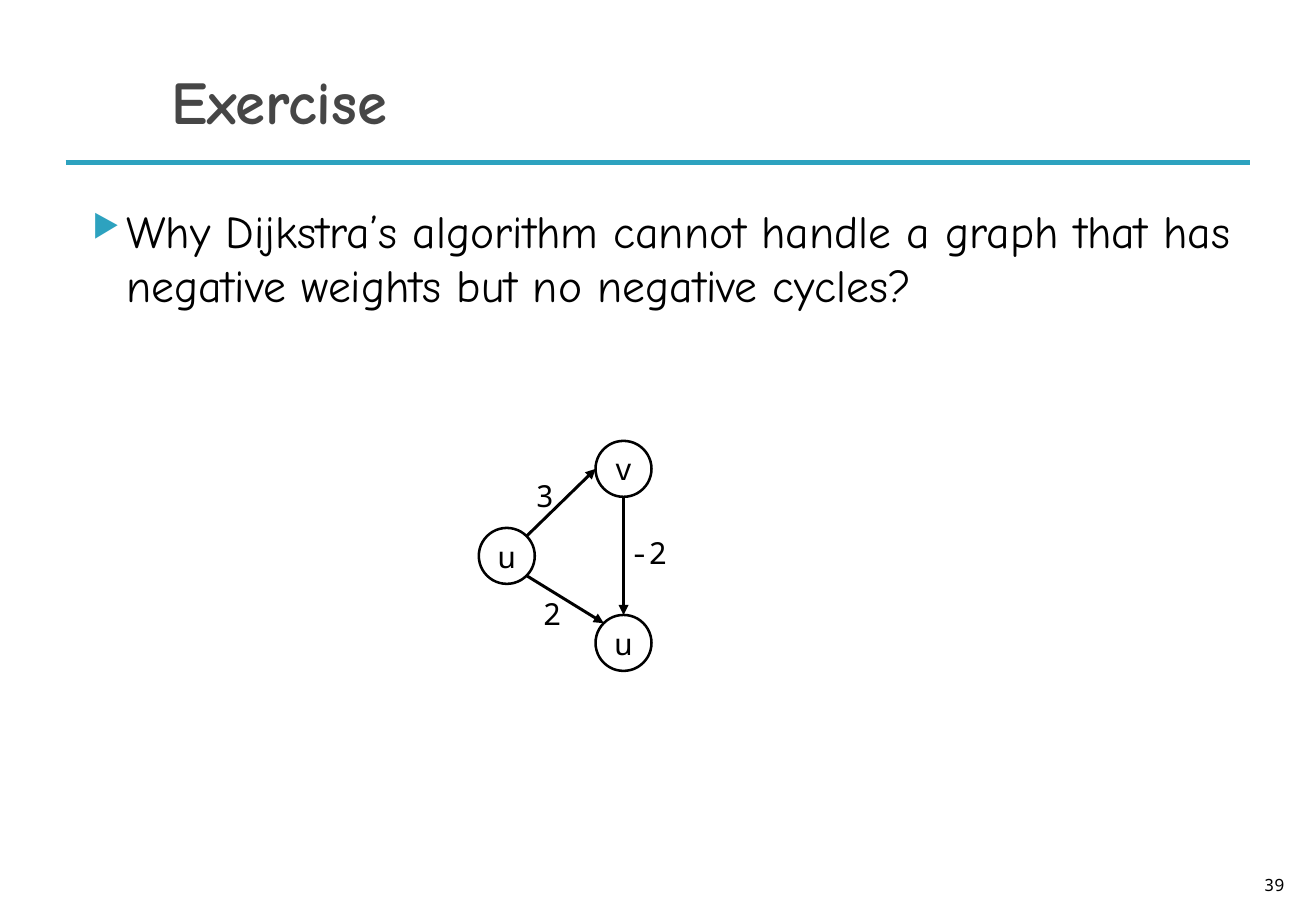
from math import sqrt
from lxml import etree
from pptx import Presentation
from pptx import util as u
from pptx.dml.color import RGBColor
from pptx.enum import shapes, text
from pptx.oxml.ns import qn

BLACK = RGBColor(0x00, 0x00, 0x00)
GREY = RGBColor(0x46, 0x46, 0x46)
TEAL = RGBColor(0x2D, 0xA2, 0xBF)
HAND = "Comic Neue"
MONO = "Noto Sans Mono"
LEFT, CENTER, RIGHT = text.PP_ALIGN.LEFT, text.PP_ALIGN.CENTER, text.PP_ALIGN.RIGHT
TOP, MIDDLE, BOTTOM = (text.MSO_ANCHOR.TOP, text.MSO_ANCHOR.MIDDLE,
                       text.MSO_ANCHOR.BOTTOM)

NODE = 1.17
COLUMN_STEP = 2.44
ROW_STEP = 1.82
DIAGONAL = 1 / sqrt(2)


def write(sp, words, font=MONO, size=18, color=BLACK, bold=False,
          align=LEFT, anchor=TOP, wrap=True):
    tf = sp.text_frame
    tf.word_wrap = wrap
    tf.vertical_anchor = anchor
    p = tf.paragraphs[0]
    p.alignment = align
    r = p.add_run()
    r.text = words
    r.font.name = font
    r.font.size = u.Pt(size)
    r.font.bold = bold
    r.font.color.rgb = color
    return p


def add_text(s, box, words, **fmt):
    sp = s.shapes.add_textbox(*map(u.Cm, box))
    return write(sp, words, **fmt)


def add_line(s, start, end, color, width, arrow=False):
    cn = s.shapes.add_connector(shapes.MSO_CONNECTOR.STRAIGHT,
                                *map(u.Cm, (*start, *end)))
    cn.line.color.rgb = color
    cn.line.width = u.Pt(width)
    if arrow:
        etree.SubElement(cn.line._get_or_add_ln(), qn("a:tailEnd"), type="triangle")
    etree.SubElement(cn._element.spPr, qn("a:effectLst"))


def add_bullet(p, char, color, percent, margin, indent):
    pPr = p._p.get_or_add_pPr()
    pPr.set("marL", str(u.Cm(margin)))
    pPr.set("indent", str(u.Cm(indent)))
    clr = etree.SubElement(pPr, qn("a:buClr"))
    etree.SubElement(clr, qn("a:srgbClr"), val=str(color))
    etree.SubElement(pPr, qn("a:buSzPct"), val=str(percent * 1000))
    etree.SubElement(pPr, qn("a:buChar"), char=char)


def heading(s, left, top, width, height):
    add_text(s, (left + 1.96, top, width - 1.96, height), "Exercise",
             font=HAND, size=36, color=GREY, bold=True, anchor=MIDDLE)
    rule = top + height - 0.03
    add_line(s, (left, rule), (left + width, rule), TEAL, 2.75)


def question(s, left, top, width, height):
    p = add_text(s, (left, top, width, height),
                 "Why Dijkstra’s algorithm cannot handle a graph that has "
                 "negative weights but no negative cycles?",
                 font=HAND, size=27)
    p.space_before = u.Pt(4)
    add_bullet(p, "▶", TEAL, 68, 1.02, -0.71)


def graph(s, left, top):
    source, upper, lower = (0, 1), (1, 0), (1, 2)

    def site(node, dx, dy):
        col, row = node
        return (left + col * COLUMN_STEP + NODE / 2 * (1 + dx),
                top + row * ROW_STEP + NODE / 2 * (1 + dy))

    for node, name in ((upper, "v"), (source, "u"), (lower, "u")):
        sp = s.shapes.add_shape(shapes.MSO_SHAPE.OVAL,
                                *map(u.Cm, (*site(node, -1, -1), NODE, NODE)))
        sp.shadow.inherit = False
        sp.fill.background()
        sp.line.color.rgb = BLACK
        sp.line.width = u.Pt(1.5)
        write(sp, name, align=CENTER, anchor=MIDDLE, wrap=False)

    d = DIAGONAL
    edges = (
        (site(source, d, d), site(lower, -d, -d), "2", (1.09, 3.1), 0.91),
        (site(source, d, -d), site(upper, -1, 0), "3", (0.94, 0.64), 0.91),
        (site(upper, 0, 1), site(lower, 0, -1), "-2", (2.92, 1.83), 2.11),
    )
    for start, end, weight, (dx, dy), width in edges:
        add_line(s, start, end, BLACK, 1.75, arrow=True)
        add_text(s, (left + dx, top + dy, width, 1.02), weight)


def page_number(s, left, top, width, height):
    add_text(s, (left, top, width, height), "39", size=10,
             align=RIGHT, anchor=BOTTOM)


def main():
    prs = Presentation()
    prs.slide_width, prs.slide_height = u.Cm(27.51), u.Cm(19.05)
    s = prs.slides.add_slide(prs.slide_layouts[6])
    heading(s, 1.37, 0.76, 24.77, 2.67)
    question(s, 1.37, 4.11, 24.77, 3.91)
    graph(s, 10.01, 9.22)
    page_number(s, 26.01, 17.81, 1.09, 1.02)
    prs.save("out.pptx")


if __name__ == "__main__":
    main()
